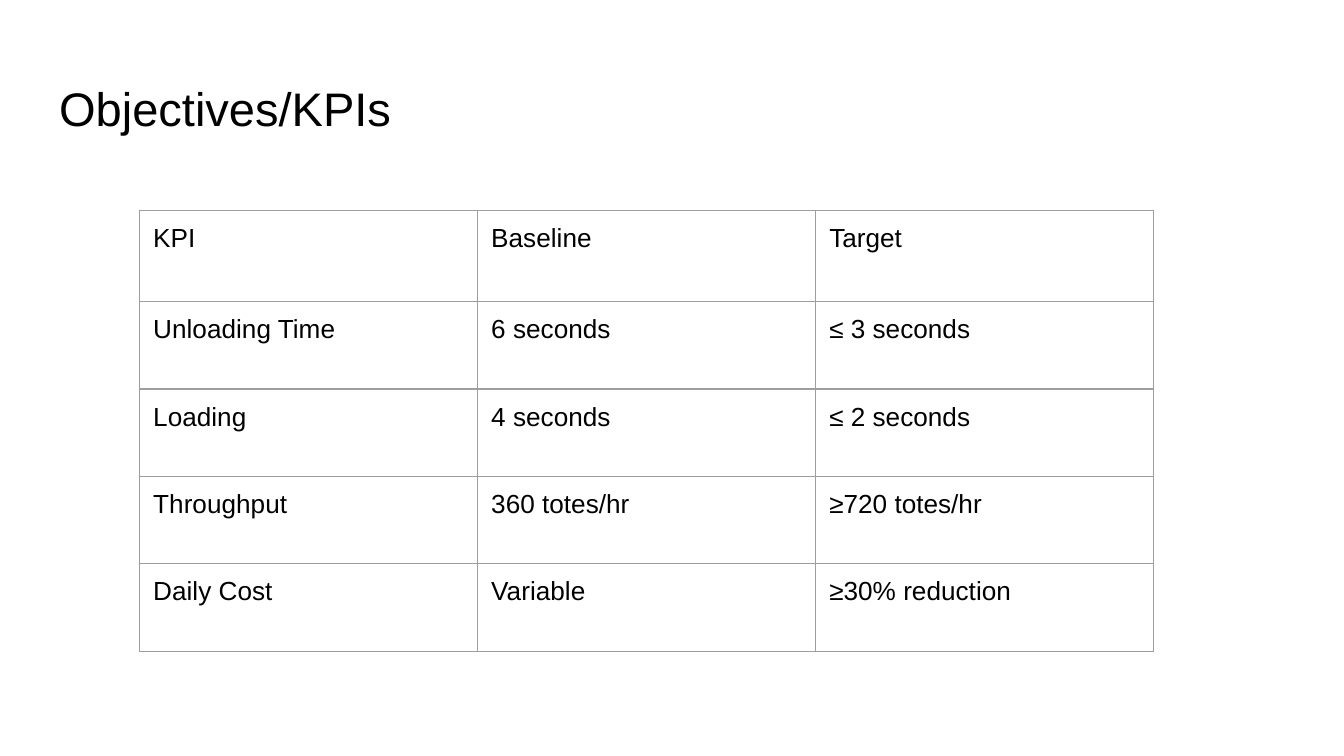
from dataclasses import dataclass

from lxml.etree import SubElement
from pptx import Presentation
from pptx.dml.color import RGBColor
from pptx.enum.text import MSO_ANCHOR, MSO_AUTO_SIZE, PP_ALIGN
from pptx.oxml.ns import qn
from pptx.util import Emu, Pt


@dataclass(frozen=True)
class Theme:
    font: str = "Arial"
    ink: str = "000000"
    paper: str = "FFFFFF"
    border: str = "9E9E9E"
    border_width: float = 0.75
    title_size: float = 25.2
    body_size: float = 14


THEME = Theme()
PX = 4572  # 200 px to the inch
INSET = 20 * PX


def write(frame, text, *, size, color=THEME.ink, align=PP_ALIGN.LEFT):
    para = frame.paragraphs[0]
    para.alignment = align
    span = para.add_run()
    span.text = text
    span.font.name = THEME.font
    span.font.size = Pt(size)
    span.font.bold = False
    span.font.color.rgb = RGBColor.from_string(color)


def add_borders(cell):
    properties = cell._tc.get_or_add_tcPr()
    for side in ("a:lnL", "a:lnR", "a:lnT", "a:lnB"):
        line = SubElement(properties, qn(side), w=str(Pt(THEME.border_width)))
        fill = SubElement(line, qn("a:solidFill"))
        SubElement(fill, qn("a:srgbClr"), val=THEME.border)


deck = Presentation()
deck.slide_width, deck.slide_height = Emu(2000 * PX), Emu(1125 * PX)
page = deck.slides.add_slide(deck.slide_layouts[5])
page.background.fill.solid()
page.background.fill.fore_color.rgb = RGBColor.from_string(THEME.paper)

title = page.shapes.title
title.left, title.top, title.width, title.height = (
    Emu(length * PX) for length in (68, 97, 1864, 125)
)
frame = title.text_frame
frame.word_wrap = True
frame.auto_size = MSO_AUTO_SIZE.NONE
frame.vertical_anchor = MSO_ANCHOR.BOTTOM
frame.margin_left = frame.margin_right = INSET
frame.margin_top = frame.margin_bottom = INSET
write(frame, "Objectives/KPIs", size=THEME.title_size)

KPI_ROWS = [
    ("KPI", "Baseline", "Target"),
    ("Unloading Time", "6 seconds", "≤ 3 seconds"),
    ("Loading", "4 seconds", "≤ 2 seconds"),
    ("Throughput", "360 totes/hr", "≥720 totes/hr"),
    ("Daily Cost", "Variable", "≥30% reduction"),
]
COLUMN_WIDTH, HEADER_HEIGHT, ROW_HEIGHT = 503, 136, 130

table = page.shapes.add_table(
    len(KPI_ROWS), 3, 208 * PX, 313 * PX, 3 * COLUMN_WIDTH * PX,
    (HEADER_HEIGHT + 4 * ROW_HEIGHT) * PX,
).table
table.first_row = table.horz_banding = False
for column in table.columns:
    column.width = Emu(COLUMN_WIDTH * PX)

for row_index, labels in enumerate(KPI_ROWS):
    height = ROW_HEIGHT if row_index else HEADER_HEIGHT
    table.rows[row_index].height = Emu(height * PX)
    for column_index, label in enumerate(labels):
        cell = table.cell(row_index, column_index)
        cell.margin_left = cell.margin_right = INSET
        cell.margin_top = cell.margin_bottom = INSET
        cell.vertical_anchor = MSO_ANCHOR.TOP
        add_borders(cell)
        cell.fill.background()
        write(cell.text_frame, label, size=THEME.body_size)

deck.save("out.pptx")
